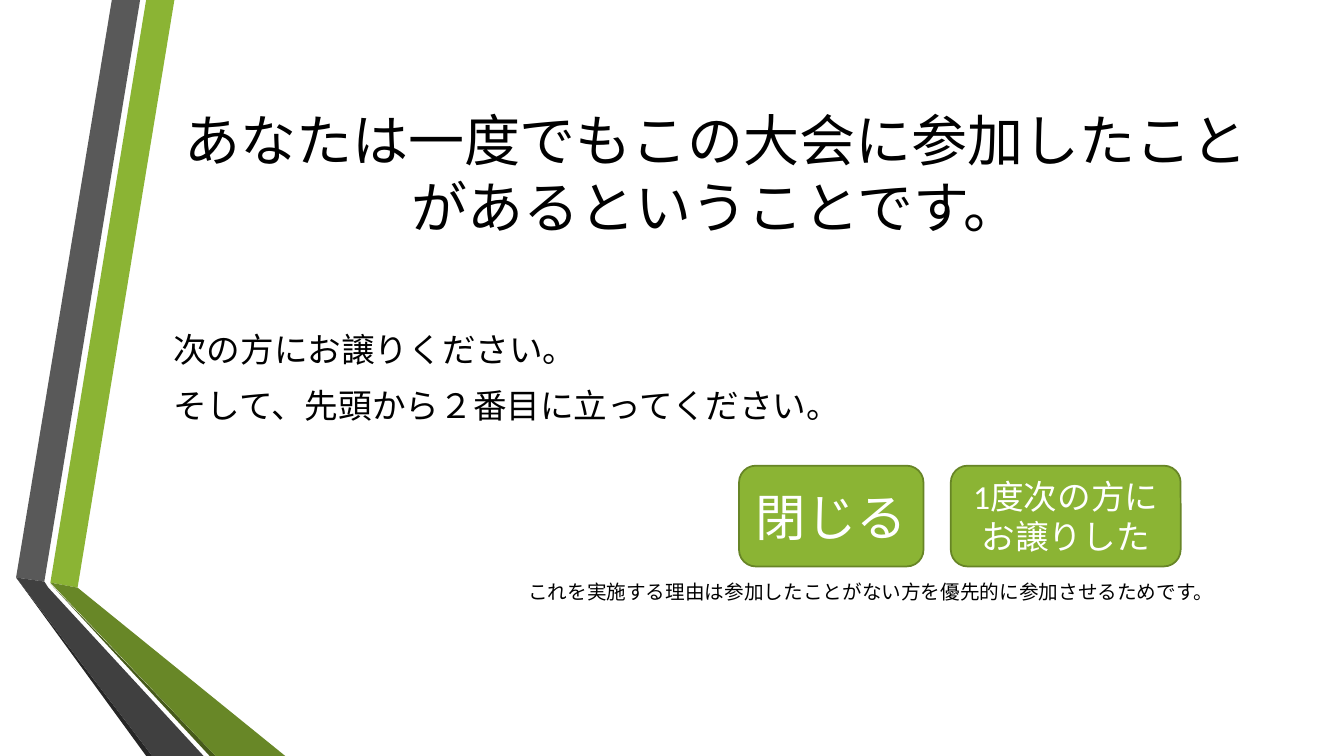
from dataclasses import dataclass

from pptx import Presentation
from pptx.dml.color import RGBColor
from pptx.enum.shapes import MSO_SHAPE
from pptx.enum.text import MSO_ANCHOR, MSO_AUTO_SIZE, PP_ALIGN
from pptx.util import Inches, Pt

ROUNDED = MSO_SHAPE.ROUNDED_RECTANGLE
MIDDLE = MSO_ANCHOR.MIDDLE
NO_FIT = MSO_AUTO_SIZE.NONE
LEFT, CENTER = PP_ALIGN.LEFT, PP_ALIGN.CENTER


@dataclass(frozen=True)
class Theme:
    font: str = "Calibri"
    text: str = "000000"
    inverse: str = "FFFFFF"
    green: str = "8BB434"
    green_line: str = "678526"
    green_dark: str = "688727"
    green_edge: str = "465A1A"
    grey: str = "595959"
    grey_dark: str = "404040"
    grey_edge: str = "262626"
    title: int = 40
    action: int = 36
    body: int = 24
    note: int = 14
    paragraph_gap: float = 10.8
    outline: float = 1.25


THEME = Theme()

TITLE = "あなたは一度でもこの大会に参加したことがあるということです。"
INSTRUCTIONS = ["次の方にお譲りください。", "そして、先頭から２番目に立ってください。"]
NOTE = "これを実施する理由は参加したことがない方を優先的に参加させるためです。"
BUTTONS = [
    ("閉じる", 1.83, THEME.action),
    ("1度次の方にお譲りした", 2.28, THEME.body),
]
RIBBONS = [
    (THEME.green, [(0.5, 5.78), (0.77, 5.83), (1.73, 0), (1.45, 0)]),
    (THEME.grey, [(1.39, 0), (1.11, 0), (0.16, 5.73), (0.44, 5.77)]),
    (THEME.grey_edge, [(0.16, 5.73), (1.45, 7.5), (1.51, 7.5)]),
    (THEME.green_edge, [(0.5, 5.79), (2.08, 7.5), (2.14, 7.5)]),
    (THEME.green_dark, [(0.5, 5.78), (2.14, 7.5), (2.83, 7.5), (0.77, 5.83)]),
    (THEME.grey_dark, [(2.02, 7.5), (0.48, 5.83), (0.44, 5.77), (0.16, 5.73), (1.51, 7.5)]),
]

TITLE_BOX = (1.62, 0.75, 10.96, 1.92)
INSTRUCTION_BOX = (1.62, 3.19, 10.96, 1.1)
NOTE_BOX = (5.14, 5.67, 7.44, 0.4)
BUTTON_LEFT, BUTTON_TOP, BUTTON_HEIGHT, BUTTON_GAP = 7.33, 4.62, 1, 0.27


def write(sp, lines, size, color=THEME.text, align=LEFT):
    """Fill a shape with paragraphs in one style."""
    tf = sp.text_frame
    tf.text = "\n".join(lines)
    tf.word_wrap = True
    tf.auto_size = NO_FIT
    tf.vertical_anchor = MIDDLE
    for i, p in enumerate(tf.paragraphs):
        p.alignment = align
        p.space_before = Pt(THEME.paragraph_gap if i else 0)
        for r in p.runs:
            r.font.name = THEME.font
            r.font.size = Pt(size)
            r.font.color.rgb = RGBColor.from_string(color)


def paint(sp, fill, line=None):
    """Give a shape a flat fill and an optional outline."""
    sp.shadow.inherit = False
    sp.fill.solid()
    sp.fill.fore_color.rgb = RGBColor.from_string(fill)
    if line:
        sp.line.color.rgb = RGBColor.from_string(line)
        sp.line.width = Pt(THEME.outline)
    else:
        sp.line.fill.background()


def add_ribbon(s, color, points):
    """Draw one closed facet of the folded ribbons."""
    start, *rest = [(Inches(x), Inches(y)) for x, y in points]
    builder = s.shapes.build_freeform(*start)
    builder.add_line_segments(rest, close=True)
    paint(builder.convert_to_shape(), color)


def add_buttons(s):
    """Set the buttons side by side with an equal gap."""
    left = BUTTON_LEFT
    for label, width, size in BUTTONS:
        box = map(Inches, (left, BUTTON_TOP, width, BUTTON_HEIGHT))
        sp = s.shapes.add_shape(ROUNDED, *box)
        paint(sp, THEME.green, THEME.green_line)
        write(sp, [label], size, THEME.inverse, CENTER)
        left += width + BUTTON_GAP


def main():
    """Build the slide and save it."""
    prs = Presentation()
    prs.slide_width, prs.slide_height = Inches(13.33), Inches(7.5)
    s = prs.slides.add_slide(prs.slide_layouts[5])

    for color, points in RIBBONS:
        add_ribbon(s, color, points)

    title = s.shapes.title
    title.left, title.top, title.width, title.height = map(Inches, TITLE_BOX)
    write(title, [TITLE], THEME.title, align=CENTER)

    for box, lines, size in [
        (INSTRUCTION_BOX, INSTRUCTIONS, THEME.body),
        (NOTE_BOX, [NOTE], THEME.note),
    ]:
        write(s.shapes.add_textbox(*map(Inches, box)), lines, size)

    add_buttons(s)
    prs.save("out.pptx")


if __name__ == "__main__":
    main()
